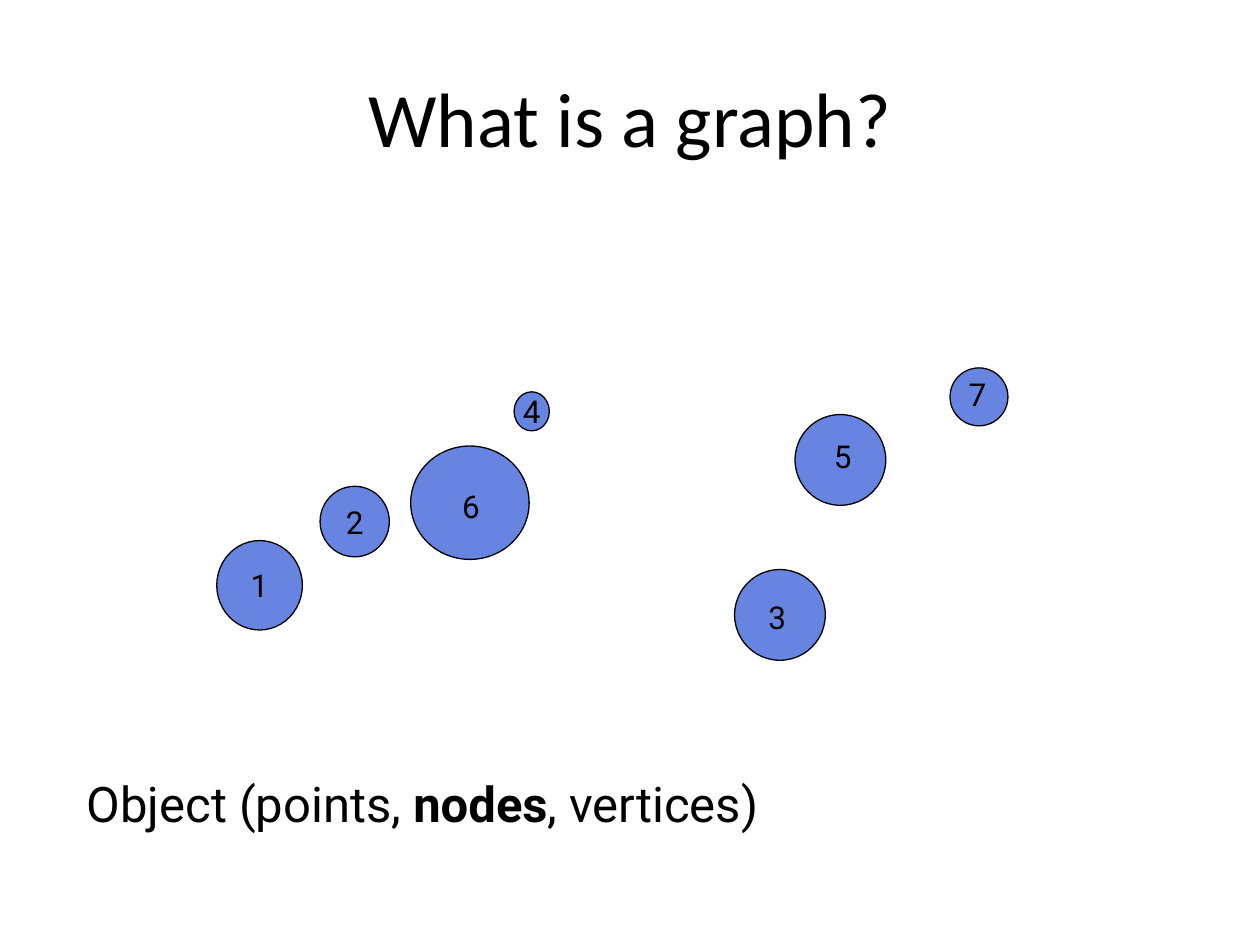
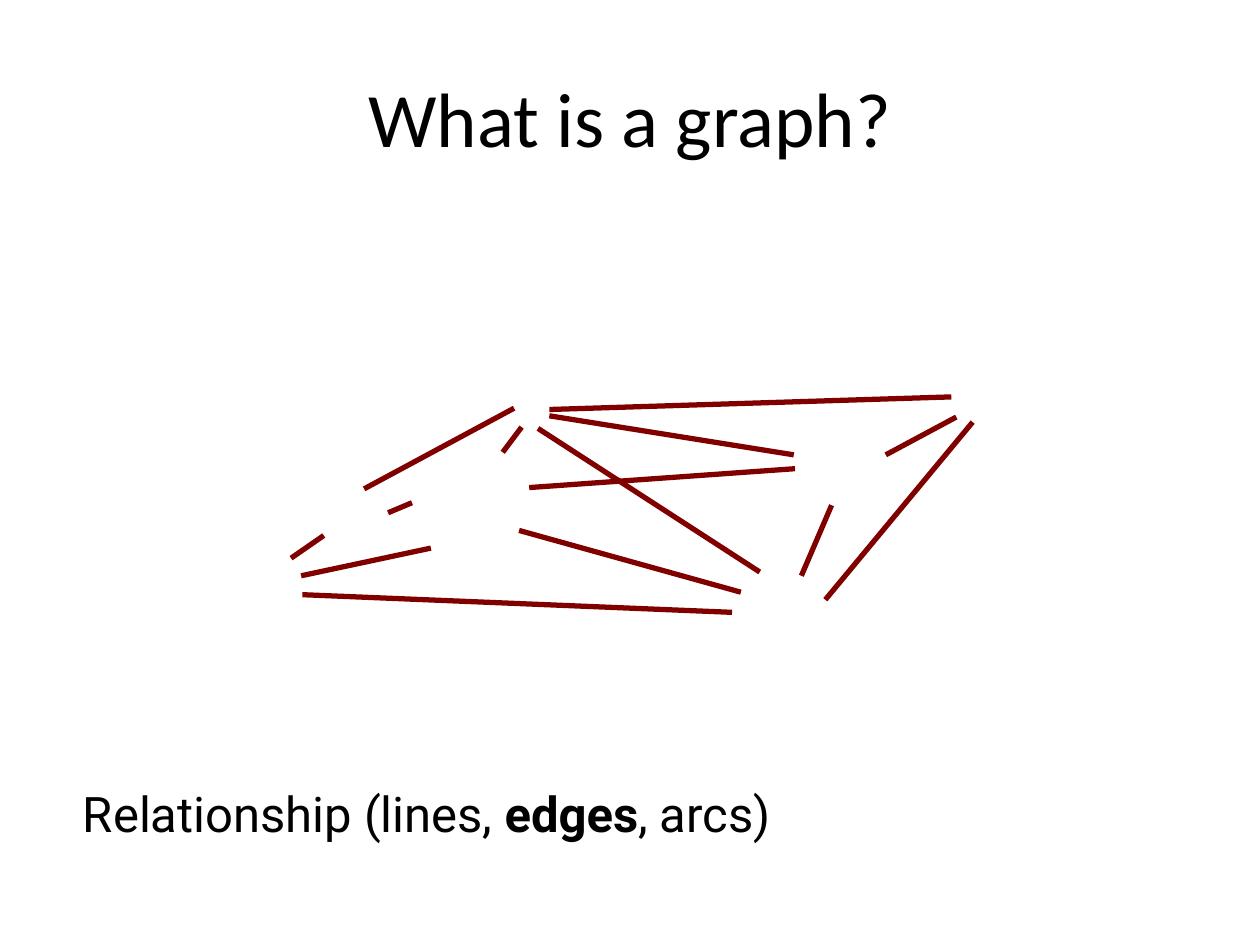
"""Build two slides that introduce the nodes and the edges of a graph."""
import pptx
import pptx.dml.color
import pptx.enum.shapes
import pptx.enum.text
import pptx.oxml
import pptx.oxml.ns
import pptx.util
from lxml import etree

PX = 9144
BLACK = pptx.dml.color.RGBColor(0x00, 0x00, 0x00)
NODE_BLUE = pptx.dml.color.RGBColor(0x00, 0x33, 0xCC)
EDGE_RED = pptx.dml.color.RGBColor(0x80, 0x00, 0x00)
NODE_OPACITY = 60
CENTER = pptx.enum.text.PP_ALIGN.CENTER
LEFT = pptx.enum.text.PP_ALIGN.LEFT
MIDDLE = pptx.enum.text.MSO_ANCHOR.MIDDLE
TITLE_PLACE = (50, 30, 900, 125)
LABEL_SIZE = (34, 40)

CAPTIONS = [
    ((59, 609, 577, 57), ["Object (points, ", "nodes", ", vertices)"]),
    ((56, 617, 585, 57), ["Relationship (lines, ", "edges", ", arcs)"]),
]
# label, circle, corner of a separate label box
NODES = [
    ("1", (172, 429, 68, 71), None),
    ("6", (326, 354, 94, 90), (357, 382)),
    ("2", (254, 386, 55, 56), None),
    ("4", (408, 311, 28, 31), None),
    ("5", (631, 329, 72, 72), (652, 342)),
    ("3", (583, 452, 72, 72), (600, 470)),
    ("7", (754, 292, 46, 46), (759, 293)),
]
EDGES = [
    (436, 325, 755, 315), (436, 330, 630, 361), (240, 472, 581, 486),
    (308, 407, 327, 399), (412, 421, 588, 470), (420, 387, 631, 372),
    (231, 443, 257, 425), (399, 359, 414, 339), (636, 457, 660, 401),
    (703, 361, 759, 331), (655, 476, 772, 335), (239, 457, 342, 435),
    (289, 388, 408, 324), (603, 454, 427, 340),
]


def write(frame, texts, font_name, size, align):
    """Write one paragraph whose second run, if any, is bold."""
    para = frame.paragraphs[0]
    para.alignment = align
    for index, text in enumerate(texts):
        span = para.add_run()
        span.text = text
        span.font.name = font_name
        span.font.size = pptx.util.Pt(size)
        span.font.bold = index == 1
        span.font.color.rgb = BLACK


def add_label(page, place, texts, size):
    """Add an unwrapped text box that fits its text."""
    box = page.shapes.add_textbox(*[value * PX for value in place])
    box.text_frame.word_wrap = False
    box.text_frame.auto_size = pptx.enum.text.MSO_AUTO_SIZE.SHAPE_TO_FIT_TEXT
    write(box.text_frame, texts, "Roboto", size, LEFT)


deck = pptx.Presentation()
deck.slide_width = 1000 * PX
deck.slide_height = 750 * PX

pages = []
for place, texts in CAPTIONS:
    page = deck.slides.add_slide(deck.slide_layouts[6])
    title = page.shapes.add_textbox(*[value * PX for value in TITLE_PLACE])
    title.text_frame.word_wrap = True
    title.text_frame.vertical_anchor = MIDDLE
    write(title.text_frame, ["What is a graph?"], "Calibri", 44, CENTER)
    add_label(page, place, texts, 28)
    pages.append(page)
node_page, edge_page = pages

for label, place, label_corner in NODES:
    node = node_page.shapes.add_shape(
        pptx.enum.shapes.MSO_SHAPE.OVAL, *[value * PX for value in place])
    node.shadow.inherit = False
    node.fill.solid()
    node.fill.fore_color.rgb = NODE_BLUE
    color = node.fill._xPr.find(".//" + pptx.oxml.ns.qn("a:srgbClr"))
    alpha = etree.SubElement(color, pptx.oxml.ns.qn("a:alpha"))
    alpha.set("val", str(NODE_OPACITY * 1000))
    node.line.color.rgb = BLACK
    node.line.width = pptx.util.Pt(0.75)
    if label_corner:
        add_label(node_page, label_corner + LABEL_SIZE, [label], 18)
    else:
        node.text_frame.word_wrap = False
        node.text_frame.vertical_anchor = MIDDLE
        write(node.text_frame, [label], "Roboto", 18, CENTER)

for ends in EDGES:
    edge = edge_page.shapes.add_connector(
        pptx.enum.shapes.MSO_CONNECTOR.STRAIGHT, *[value * PX for value in ends])
    edge.line.color.rgb = EDGE_RED
    edge.line.width = pptx.util.Pt(3)
    etree.SubElement(edge._element.spPr, pptx.oxml.ns.qn("a:effectLst"))

deck.save("out.pptx")
